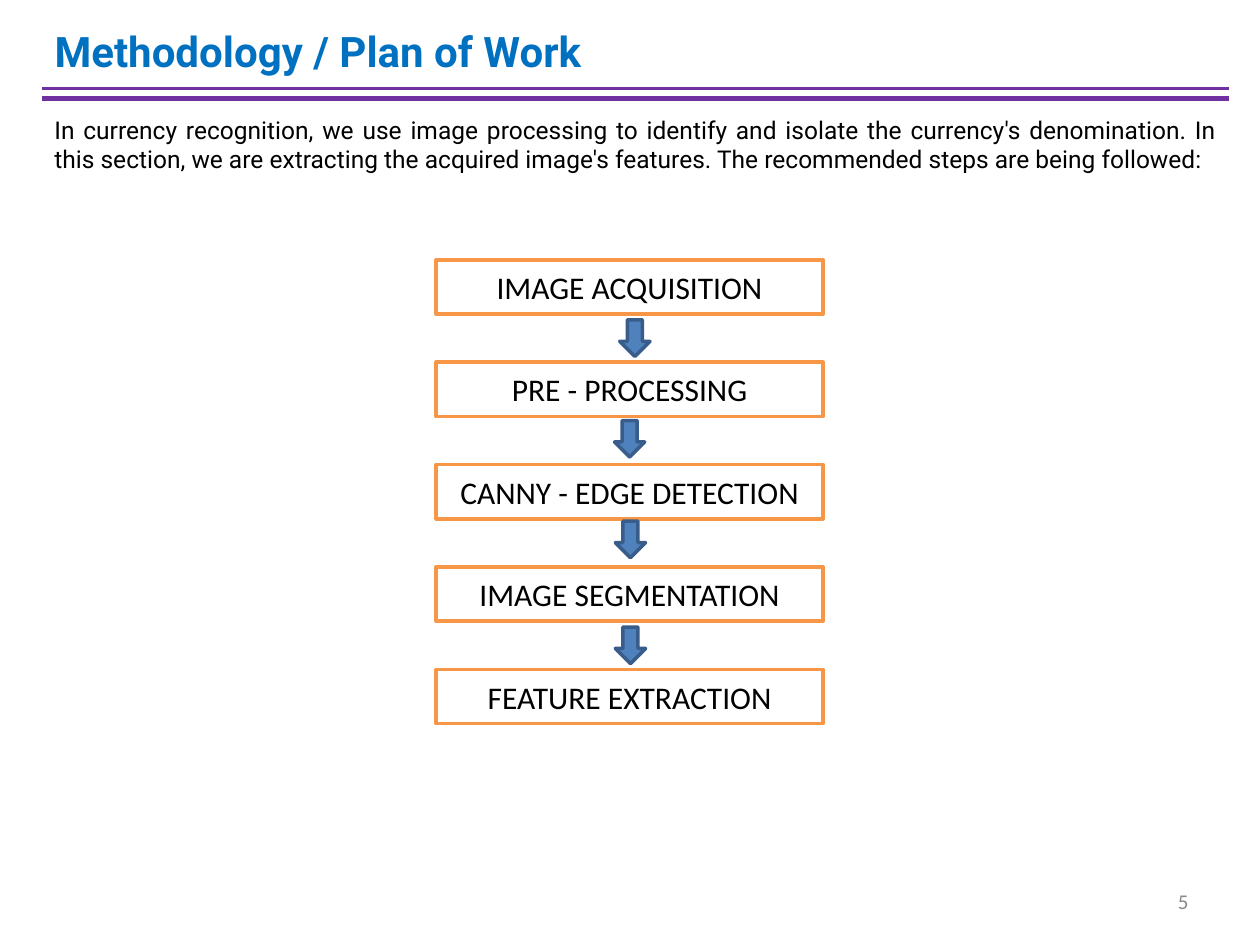
from lxml import etree
from pptx import Presentation
from pptx.dml.color import RGBColor
from pptx.enum.shapes import MSO_CONNECTOR, MSO_SHAPE
from pptx.enum.text import MSO_ANCHOR, PP_ALIGN
from pptx.oxml.ns import qn
from pptx.util import Pt

STRAIGHT = MSO_CONNECTOR.STRAIGHT
RECTANGLE, DOWN_ARROW = MSO_SHAPE.RECTANGLE, MSO_SHAPE.DOWN_ARROW
TOP, MIDDLE = MSO_ANCHOR.TOP, MSO_ANCHOR.MIDDLE
LEFT, CENTER, RIGHT, JUSTIFY = (
    PP_ALIGN.LEFT, PP_ALIGN.CENTER, PP_ALIGN.RIGHT, PP_ALIGN.JUSTIFY)

BLACK = RGBColor(0x00, 0x00, 0x00)
WHITE = RGBColor(0xFF, 0xFF, 0xFF)
TITLE_BLUE = RGBColor(0x00, 0x70, 0xC0)
PURPLE = RGBColor(0x70, 0x30, 0xA0)
GRAY = RGBColor(0x89, 0x89, 0x89)
ORANGE = RGBColor(0xF7, 0x96, 0x46)
ARROW_BLUE = RGBColor(0x4F, 0x81, 0xBD)
ARROW_EDGE = RGBColor(0x38, 0x5D, 0x8A)

INTRO = ("In currency recognition, we use image processing to identify and "
         "isolate the currency's denomination. In this section, we are "
         "extracting the acquired image's features. The recommended steps "
         "are being followed:")
STEPS = ["IMAGE ACQUISITION", "PRE - PROCESSING", "CANNY - EDGE DETECTION",
         "IMAGE SEGMENTATION", "FEATURE EXTRACTION"]
# Shift of each arrow from the middle of its gap
ARROW_SHIFTS = [(3, 0), (0, -1), (0.5, -2), (0.5, 0)]


def write(shape, text, font, size, color, align, anchor=MIDDLE, bold=False, wrap=True):
    frame = shape.text_frame
    frame.text = text
    frame.word_wrap = wrap
    frame.vertical_anchor = anchor
    para = frame.paragraphs[0]
    para.alignment = align
    span = para.runs[0].font
    span.name, span.size, span.bold = font, Pt(size), bold
    span.color.rgb = color


def add_block(page, kind, left, top, width, height, fill, edge):
    block = page.shapes.add_shape(kind, Pt(left), Pt(top), Pt(width), Pt(height))
    block.shadow.inherit = False
    block.fill.solid()
    block.fill.fore_color.rgb = fill
    block.line.color.rgb = edge
    block.line.width = Pt(2)
    return block


def add_header(page, left, top, width, height):
    title = page.shapes.title
    title.left, title.top, title.width, title.height = (
        Pt(left), Pt(top), Pt(width), Pt(height))
    write(title, "Methodology / Plan of Work", "Roboto", 24, TITLE_BLUE, LEFT, bold=True)
    # Double rule below the title
    for gap, weight in ((5.7, 1.5), (11.5, 3)):
        y = Pt(top + height + gap)
        rule = page.shapes.add_connector(STRAIGHT, Pt(left), y, Pt(left + width), y)
        rule.line.color.rgb = PURPLE
        rule.line.width = Pt(weight)
        etree.SubElement(rule._element.spPr, qn("a:effectLst"))


def add_text(page, left, top, width, height, *style, **options):
    box = page.shapes.add_textbox(Pt(left), Pt(top), Pt(width), Pt(height))
    write(box, *style, **options)


def add_flow(page, left, top, width, height):
    step_height, arrow_width, arrow_height = 31, 17.3, 20.9
    pitch = (height - step_height) / (len(STEPS) - 1)
    for index, label in enumerate(STEPS):
        step = add_block(page, RECTANGLE, left, top + index * pitch,
                         width, step_height, WHITE, ORANGE)
        write(step, label, "Calibri", 18, BLACK, CENTER)
    # Arrows in the gaps between steps
    for index, (shift_x, shift_y) in enumerate(ARROW_SHIFTS):
        middle = top + index * pitch + (step_height + pitch) / 2
        add_block(page, DOWN_ARROW, left + (width - arrow_width) / 2 + shift_x,
                  middle - arrow_height / 2 + shift_y,
                  arrow_width, arrow_height, ARROW_BLUE, ARROW_EDGE)


def main():
    deck = Presentation()
    deck.slide_width, deck.slide_height = Pt(720), Pt(540)
    page = deck.slides.add_slide(deck.slide_layouts[5])
    add_header(page, 24, 13, 678.5, 31.7)
    # Slide number
    add_text(page, 666, 500.4, 18, 28.8, "5", "Calibri", 12, GRAY, RIGHT, wrap=False)
    # Introduction
    add_text(page, 24, 62, 678.5, 91.4, INTRO, "Roboto", 14, BLACK, JUSTIFY, anchor=TOP)
    add_flow(page, 249.3, 148.5, 221, 265)
    deck.save("out.pptx")


if __name__ == "__main__":
    main()
